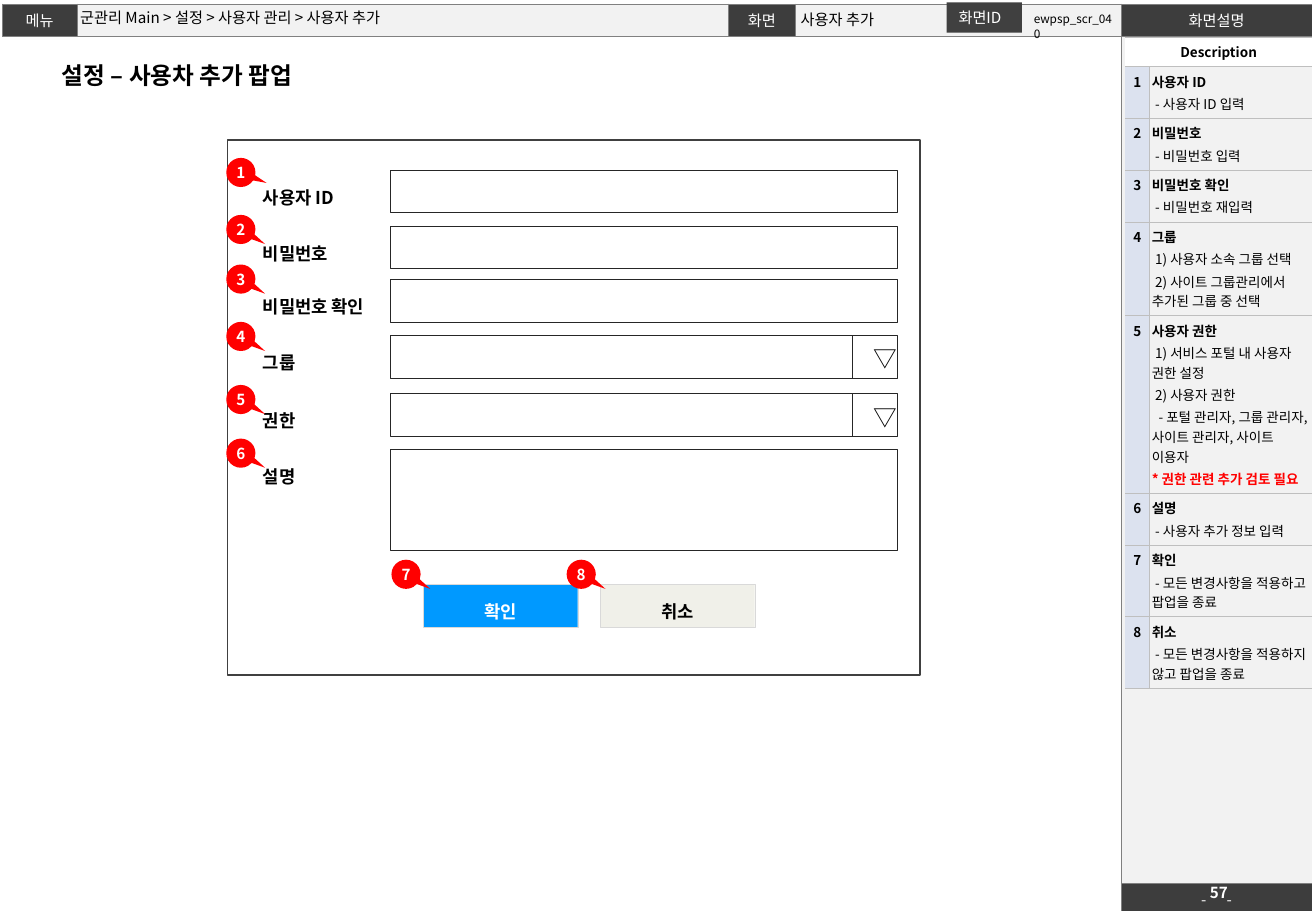
from lxml import etree
from pptx import Presentation
from pptx import util as u
from pptx.dml import color
from pptx.enum import shapes, text
from pptx.oxml import ns

Pt = u.Pt
FONT = "Noto Sans CJK KR"
COLORS = {
    "black": "000000", "white": "FFFFFF", "dark": "3D3D3D", "tag": "404040",
    "panel": "F2F2F2", "grid": "808080", "soft_grid": "BFBFBF", "number": "DCE2EF",
    "red": "FF0000", "blue": "0099FF", "cream": "F0F0E9", "field": "262626",
    "button": "D9D9D9",
}
LEFT, CENTER = text.PP_ALIGN.LEFT, text.PP_ALIGN.CENTER
TOP, MIDDLE = text.MSO_ANCHOR.TOP, text.MSO_ANCHOR.MIDDLE
NO_STYLE = "{2D5ABB26-0587-4C30-8999-92F81FD0307C}"

# label, top in the popup, marker top, height, has a drop-down
FIELDS = [
    ("사용자 ID", 18, 10.8, 25.2, False),
    ("비밀번호", 51, 44.6, 25.2, False),
    ("비밀번호 확인", 83, 74, 25.2, False),
    ("그룹", 116, 108, 25.2, True),
    ("권한", 150.5, 145.4, 25.2, True),
    ("설명", 183.6, 177.2, 59.8, False),
]
# label, left in the popup, fill, font colour, marker left
BUTTONS = [
    ("확인", 116.2, "blue", "white", 97.2),
    ("취소", 221.1, "cream", "black", 201),
]
# heading, then (first-line indent, line, is a warning)
DESCRIPTIONS = [
    ("사용자 ID", [(2, "- 사용자 ID 입력", False)]),
    ("비밀번호", [(2, "- 비밀번호 입력", False)]),
    ("비밀번호 확인", [(2, "- 비밀번호 재입력", False)]),
    ("그룹", [(2, "1) 사용자 소속 그룹 선택", False),
            (2, "2) 사이트 그룹관리에서 추가된 그룹 중 선택", False)]),
    ("사용자 권한", [(2, "1) 서비스 포털 내 사용자 권한 설정", False),
                (2, "2) 사용자 권한", False),
                (4, "- 포털 관리자, 그룹 관리자, 사이트 관리자, 사이트 이용자", False),
                (0, "* 권한 관련 추가 검토 필요", True)]),
    ("설명", [(2, "- 사용자 추가 정보 입력", False)]),
    ("확인", [(2, "- 모든 변경사항을 적용하고 팝업을 종료", False)]),
    ("취소", [(2, "- 모든 변경사항을 적용하지 않고 팝업을 종료", False)]),
]


def rgb(name):
    return color.RGBColor.from_string(COLORS[name])


def add_span(para, words, size, ink="black", bold=False, font=FONT):
    span = para.add_run()
    span.text = words
    span.font.size, span.font.bold, span.font.name = Pt(size), bold, font
    span.font.color.rgb = rgb(ink)
    etree.SubElement(span.font._element, ns.qn("a:ea"), typeface=FONT)
    return span


def set_frame(frame, anchor=TOP, insets=(7.2, 3.6), wrap=True):
    frame.auto_size = text.MSO_AUTO_SIZE.NONE
    frame.word_wrap, frame.vertical_anchor = wrap, anchor
    frame.margin_left = frame.margin_right = Pt(insets[0])
    frame.margin_top = frame.margin_bottom = Pt(insets[1])


def write(shape, words, size, ink="black", bold=False, align=LEFT, spacing=None, **layout):
    set_frame(shape.text_frame, **layout)
    para = shape.text_frame.paragraphs[0]
    para.alignment = align
    if spacing:
        para.line_spacing = spacing
    add_span(para, words, size, ink, bold)


def add_text(page, box, words, size, **style):
    write(page.shapes.add_textbox(*map(Pt, box)), words, size, **style)


def add_box(page, box, fill=None, line=None, width=0.25, kind=shapes.MSO_SHAPE.RECTANGLE):
    shape = page.shapes.add_shape(kind, *map(Pt, box))
    shape.shadow.inherit = False
    if fill:
        shape.fill.solid()
        shape.fill.fore_color.rgb = rgb(fill)
    else:
        shape.fill.background()
    if line:
        shape.line.color.rgb, shape.line.width = rgb(line), Pt(width)
    else:
        shape.line.fill.background()
    return shape


def fill_placeholder(shape, box, words, size, **style):
    shape.left, shape.top, shape.width, shape.height = map(Pt, box)
    write(shape, words, size, **style)
    props = shape.text_frame.paragraphs[0]._p.get_or_add_pPr()
    props.set("marL", "0")
    props.set("indent", "0")
    etree.SubElement(props, ns.qn("a:buNone"))


def add_table(page, left, top, widths, heights):
    frame = page.shapes.add_table(len(heights), len(widths), Pt(left), Pt(top),
                                  Pt(sum(widths)), Pt(sum(heights)))
    table = frame.table
    table.first_row = table.horz_banding = False
    table._tbl.tblPr.find(ns.qn("a:tableStyleId")).text = NO_STYLE
    for column, width in zip(table.columns, widths):
        column.width = Pt(width)
    for row, height in zip(table.rows, heights):
        row.height = Pt(height)
    return frame


def format_cell(cell, fill, sides, line, insets=2.9, anchor=MIDDLE):
    cell.margin_left = cell.margin_right = Pt(insets)
    cell.margin_top = cell.margin_bottom = Pt(2.9)
    cell.vertical_anchor = anchor
    props = cell._tc.get_or_add_tcPr()
    for side in "LRTB":
        edge = etree.SubElement(props, ns.qn("a:ln" + side), w="3175")
        if side in sides:
            paint = etree.SubElement(edge, ns.qn("a:solidFill"))
            etree.SubElement(paint, ns.qn("a:srgbClr"), val=COLORS[line])
        else:
            etree.SubElement(edge, ns.qn("a:noFill"))
    if fill:
        cell.fill.solid()
        cell.fill.fore_color.rgb = rgb(fill)
    else:
        cell.fill.background()


def add_page_frame(page, left, top):
    frame = add_table(page, left, top, [44, 386, 39.8, 193, 113.2], [19.3, 501.8, 14.4])
    # The frame lies behind the placeholders
    page.shapes._spTree.insert(2, frame._element)
    table = frame.table
    fills = [["dark", "panel", "dark", "panel", "dark"],
             ["white"] * 4 + ["panel"], ["white"] * 4 + ["dark"]]
    edges = ["LRTB", "T", "B"]
    words = {(0, 0): "메뉴", (0, 2): "화면", (0, 4): "화면설명", (2, 4): "- -"}
    for r, row_fills in enumerate(fills):
        for c, fill in enumerate(row_fills):
            cell = table.cell(r, c)
            sides = "LTB" if c == 4 else edges[r]
            format_cell(cell, fill, sides, "grid")
            para = cell.text_frame.paragraphs[0]
            para.alignment = CENTER
            if (r, c) not in words:
                etree.SubElement(para._p, ns.qn("a:endParaRPr"), sz="800")
            for part in words.get((r, c), "").partition(" "):
                if part:
                    span = add_span(para, part, 9, "white",
                                    font="Arial" if (r, c) == (0, 4) else FONT)
                    if part == " ":
                        span.font._element.set("spc", "1000")
    for r in (1, 2):
        table.cell(r, 0).merge(table.cell(r, 3))
    add_text(page, (left + 715.3, top + 521.2, 10.8, 10.8), "57", 9, ink="white", bold=True,
             align=CENTER, anchor=MIDDLE, insets=(2.9, 0), wrap=False)


def add_header(page, left, top):
    title, path_line, screen = page.placeholders
    fill_placeholder(title, (left + 29.5, top + 32.4, 190, 24.5), "설정 – 사용차 추가 팝업",
                     14, bold=True)
    fill_placeholder(path_line, (left + 47.5, top + 5, 380, 10.8),
                     "군관리 Main > 설정 > 사용자 관리 > 사용자 추가", 9, anchor=MIDDLE, insets=(0, 0))
    fill_placeholder(screen, (left + 474.5, top + 3.6, 97.2, 15.8), "사용자 추가", 9,
                     anchor=MIDDLE, insets=(0, 0))
    tag = add_box(page, (left + 560.9, top + 1.4, 44.6, 18), "tag")
    write(tag, "화면ID", 9, ink="white")
    add_text(page, (left + 605.5, top + 3.6, 62.6, 15.8), "ewpsp_scr_040", 7)


def add_marker(page, left, top, number):
    marker = add_box(page, (left, top, 17.3, 17.3), "red",
                     kind=shapes.MSO_SHAPE.OVAL_CALLOUT)
    marker.adjustments[0], marker.adjustments[1] = (0.88, 0.36) if number == 1 else (0.83, 0.5)
    write(marker, str(number), 9, ink="white", bold=True, align=CENTER, anchor=MIDDLE,
          insets=(0, 3.6), wrap=False)


def add_popup(page, left, top, width, height):
    add_box(page, (left, top, width, height), "white", "tag", 1)
    label_style = dict(bold=True, spacing=1.5)
    # Form fields
    for number, (label, offset, marker_top, tall, drop_down) in enumerate(FIELDS, 1):
        y = top + offset
        x = left + 96.5
        add_text(page, (left + 13.9, y, 105, 25.2), label, 10.5, **label_style)
        add_box(page, (x, y, 274 if drop_down else 300.2, tall), "white", "field")
        if drop_down:
            add_box(page, (x + 274, y, 26.6, tall), None, "field")
            add_text(page, (x + 279, y + 1.5, 17.3, 24.5), "▽", 14, align=CENTER, anchor=MIDDLE)
        add_marker(page, left - 0.7, top + marker_top, number)
    # Buttons
    for number, (label, offset, fill, ink, marker_left) in enumerate(BUTTONS, len(FIELDS) + 1):
        button = add_box(page, (left + offset, top + 263.6, 91.4, 25.2), fill, "button")
        write(button, label, 10.5, ink=ink, align=CENTER, **label_style)
        add_marker(page, left + marker_left, top + 249, number)


def add_descriptions(page, left, top):
    table = add_table(page, left, top, [14.4, 96.5], [8.6] * (len(DESCRIPTIONS) + 1)).table
    for c in (0, 1):
        format_cell(table.cell(0, c), "white", "TB", "soft_grid", 1.4)
    heading = table.cell(0, 0)
    heading.merge(table.cell(0, 1))
    para = heading.text_frame.paragraphs[0]
    para.alignment = CENTER
    add_span(para, "Description", 8, bold=True)
    etree.SubElement(table.cell(0, 1).text_frame.paragraphs[0]._p,
                     ns.qn("a:endParaRPr"), sz="800")
    for number, (name, lines) in enumerate(DESCRIPTIONS, 1):
        key, body = table.cell(number, 0), table.cell(number, 1)
        format_cell(key, "number", "RTB", "soft_grid", 1.4, TOP)
        format_cell(body, None, "LTB", "soft_grid", 1.4, TOP)
        para = key.text_frame.paragraphs[0]
        para.alignment = CENTER
        add_span(para, str(number), 8, bold=True)
        add_span(body.text_frame.paragraphs[0], name, 8, bold=True)
        for indent, line, warning in lines:
            para = body.text_frame.add_paragraph()
            para.space_before = Pt(1.6)
            props = para._p.get_or_add_pPr()
            props.set("marL", "0")
            props.set("indent", str(Pt(indent)))
            add_span(para, line, 8, "red" if warning else "black", warning)


def main():
    deck = Presentation()
    deck.slide_width, deck.slide_height = Pt(779.8), Pt(540)
    page = deck.slides.add_slide(deck.slide_layouts[3])
    add_page_frame(page, 1.5, 2.2)
    add_header(page, 0, 0)
    add_popup(page, 134.8, 82.8, 410.4, 317.5)
    add_descriptions(page, 666.7, 21.9)
    deck.save("out.pptx")


if __name__ == "__main__":
    main()
